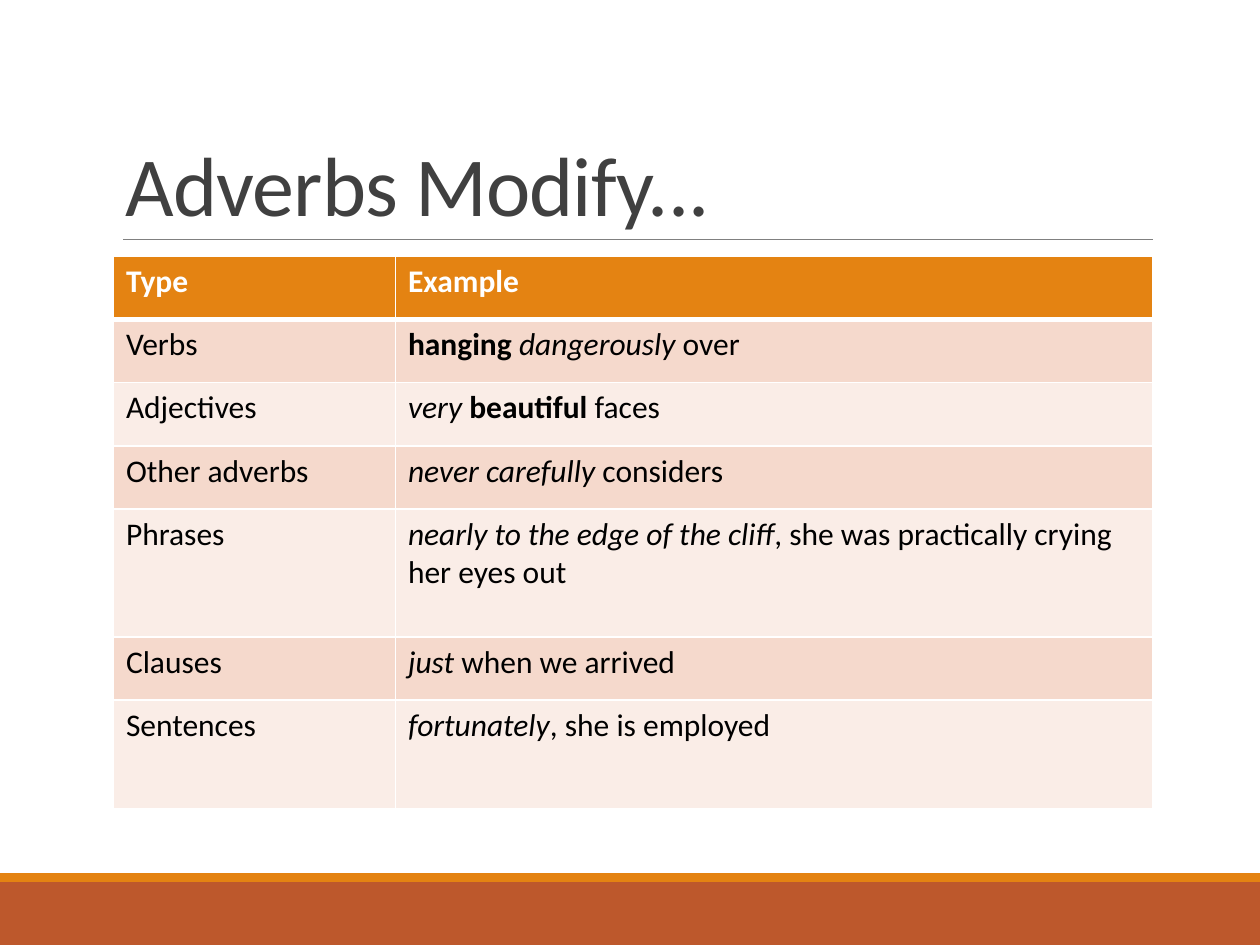
from lxml.etree import SubElement as Sub
from pptx import Presentation
from pptx.dml.color import RGBColor
from pptx.enum.shapes import MSO_CONNECTOR as Conn, MSO_SHAPE as Shape
from pptx.enum.text import MSO_ANCHOR as Anchor
from pptx.oxml.ns import qn
from pptx.util import Pt

WHITE = RGBColor(0xFF, 0xFF, 0xFF)
BLACK = RGBColor(0, 0, 0)
DARK = RGBColor(0x40, 0x40, 0x40)
GRAY = RGBColor(0x80, 0x80, 0x80)
ORANGE = RGBColor(0xE4, 0x83, 0x12)
RUST = RGBColor(0xBD, 0x58, 0x2C)
ROSE = RGBColor(0xF5, 0xD9, 0xCC)
PALE = RGBColor(0xFA, 0xED, 0xE7)

# Each run is its text and its style: "b" bold, "i" italic, "" plain.
ROWS = [
    ("Type", [("Example", "")]),
    ("Verbs", [("hanging ", "b"), ("dangerously", "i"), (" over", "")]),
    ("Adjectives", [("very ", "i"), ("beautiful", "b"), (" faces", "")]),
    ("Other adverbs", [("never carefully", "i"), (" considers", "")]),
    ("Phrases", [("nearly to the edge of the cliff", "i"),
                 (", she was practically crying her eyes out", "")]),
    ("Clauses", [("just", "i"), (" when we arrived", "")]),
    ("Sentences", [("fortunately", "i"), (", she is employed", "")]),
]
COLS = [161.2, 432.8]
HIGHS = [36.1] * 4 + [73.2, 36.1, 62.3]


def write(frame, text, size=18, color=BLACK, bold=False, track=0, lead=None):
    """Fill a frame with one paragraph, from a string or styled runs."""
    para = frame.paragraphs[0]
    if lead:
        para.line_spacing = lead
    for part, style in [(text, "")] if isinstance(text, str) else text:
        run = para.add_run()
        run.text = part
        font = run.font
        font.name, font.size = "Calibri", Pt(size)
        font.bold = bold or style == "b"
        font.italic = style == "i"
        font.color.rgb = color
        if track:
            run._r.get_or_add_rPr().set("spc", str(int(track * 100)))


def edge(cell, **widths):
    """Draw white cell borders, given as side=width in points."""
    props = cell._tc.get_or_add_tcPr()
    for spot, (side, width) in enumerate(widths.items()):
        line = props.makeelement(qn(f"a:ln{side}"), {"w": str(Pt(width))})
        fill = Sub(line, qn("a:solidFill"))
        Sub(fill, qn("a:srgbClr"), val=str(WHITE))
        props.insert(spot, line)


class Deck:
    def __init__(self, wide, high):
        self.show = Presentation()
        self.show.slide_width, self.show.slide_height = Pt(wide), Pt(high)
        self.slide = self.show.slides.add_slide(self.show.slide_layouts[6])
        self.shapes = self.slide.shapes

    def bar(self, x, y, w, h, color):
        bar = self.shapes.add_shape(Shape.RECTANGLE, Pt(x), Pt(y), Pt(w), Pt(h))
        bar.shadow.inherit = False
        bar.fill.solid()
        bar.fill.fore_color.rgb = color
        bar.line.fill.background()

    def rule(self, x, y, end, color, width):
        rule = self.shapes.add_connector(
            Conn.STRAIGHT, Pt(x), Pt(y), Pt(end), Pt(y))
        rule.line.color.rgb = color
        rule.line.width = Pt(width)
        Sub(rule._element.spPr, qn("a:effectLst"))

    def title(self, x, y, w, h, text):
        frame = self.shapes.add_textbox(Pt(x), Pt(y), Pt(w), Pt(h)).text_frame
        frame.word_wrap = True
        frame.vertical_anchor = Anchor.BOTTOM
        write(frame, text, size=48, color=DARK, track=-0.5, lead=0.85)

    def table(self, x, y, cols, highs, rows):
        table = self.shapes.add_table(
            len(rows), len(cols), Pt(x), Pt(y),
            Pt(sum(cols)), Pt(sum(highs))).table
        for col, wide in zip(table.columns, cols):
            col.width = Pt(wide)
        for r, (row, high) in enumerate(zip(rows, highs)):
            table.rows[r].height = Pt(high)
            head = r == 0
            for c, text in enumerate(row):
                cell = table.cell(r, c)
                cell.fill.solid()
                cell.fill.fore_color.rgb = (
                    ORANGE if head else ROSE if r % 2 else PALE)
                edge(cell, L=1, R=1, T=3 if r == 1 else 1, B=3 if head else 1)
                write(cell.text_frame, text, bold=head,
                      color=WHITE if head else BLACK)


def main():
    deck = Deck(720, 540)
    deck.bar(0, 504, 720, 36, RUST)
    deck.bar(0, 499, 720, 5, ORANGE)
    deck.rule(70.4, 136.8, 658.8, GRAY, 0.5)
    deck.title(64.8, 22.3, 594, 114.5, "Adverbs Modify...")
    deck.table(64.8, 146.5, COLS, HIGHS, ROWS)
    deck.show.save("out.pptx")


if __name__ == "__main__":
    main()
